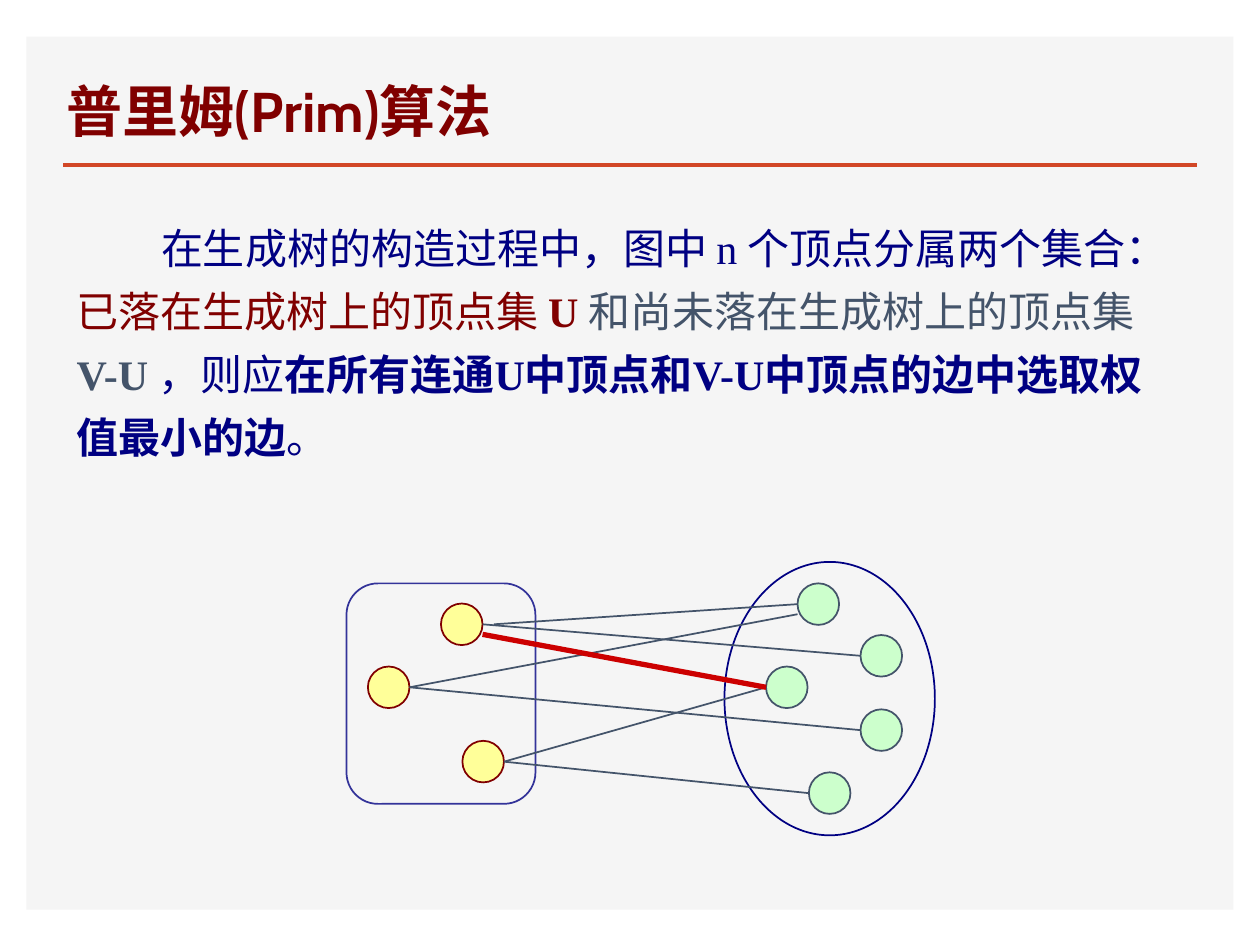
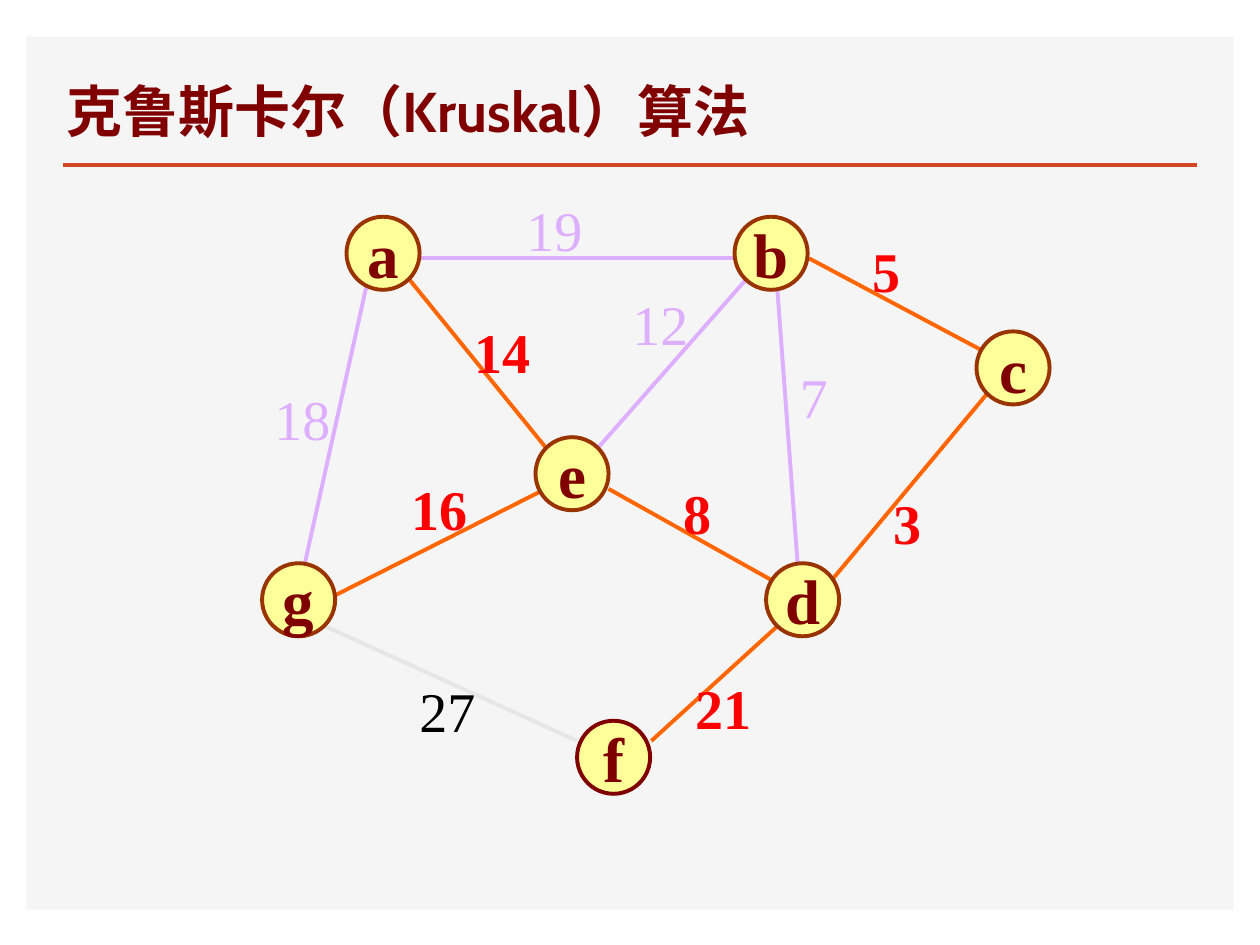
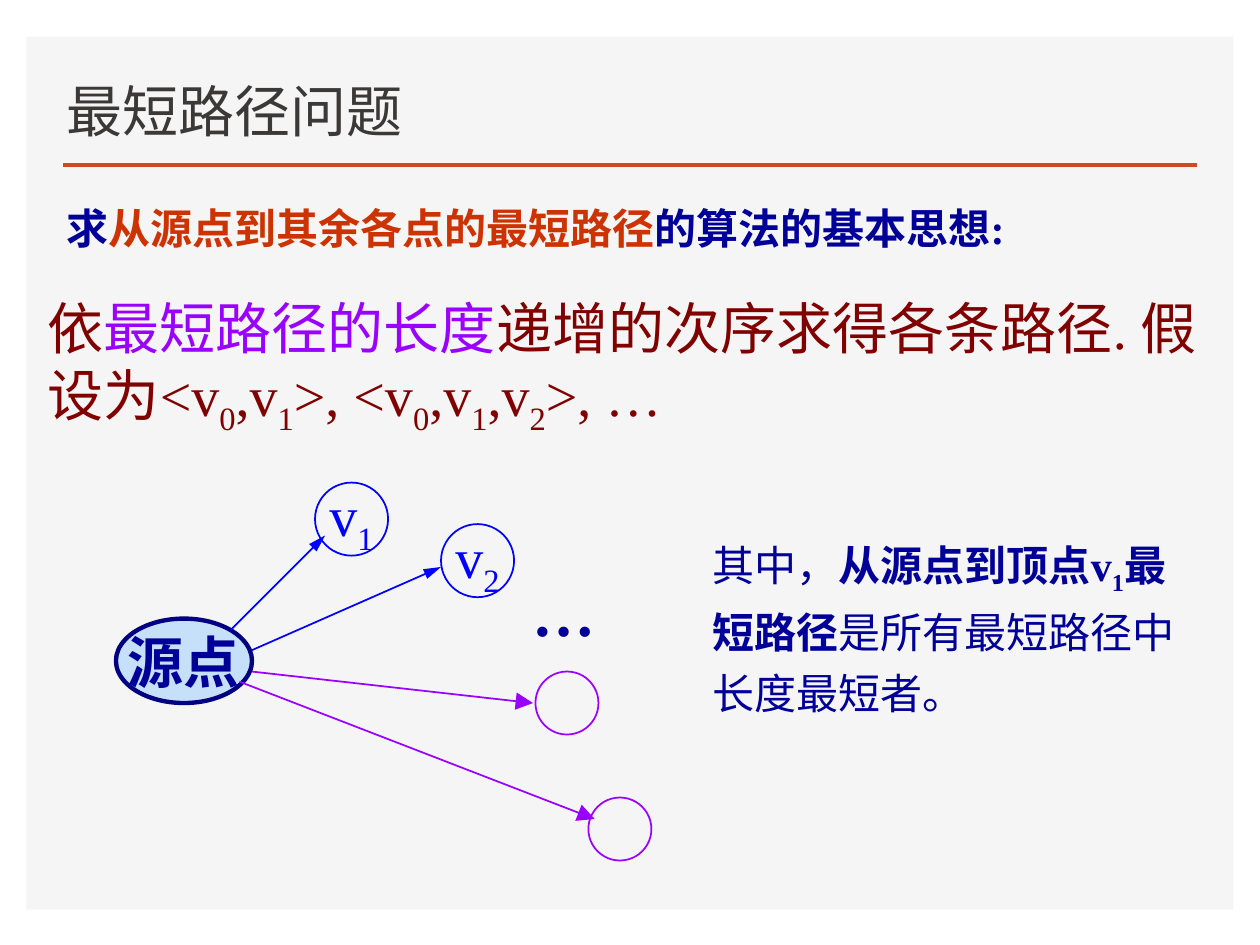
from lxml.etree import SubElement
from pptx import Presentation
from pptx.dml.color import RGBColor
from pptx.enum.shapes import MSO_CONNECTOR, MSO_SHAPE
from pptx.enum.text import MSO_ANCHOR, MSO_AUTO_SIZE, PP_ALIGN
from pptx.oxml.ns import qn
from pptx.util import Inches, Pt

BODY_FONT, TITLE_FONT = "Times New Roman", "Cabin"
PANEL, RULE, CHARCOAL = "F5F5F5", "D24726", "3B3838"
MAROON, NAVY, SLATE, INK = "800000", "000082", "44546A", "000099"
YELLOW, GREEN, BROWN = "FFFF99", "CCFFCC", "993300"
RED, ORANGE, LILAC, GREY = "FF0000", "FF6600", "DFAFFF", "E7E6E6"
BLUE, VIOLET, BRICK, BLACK = "0000FF", "9900FF", "CC3300", "000000"

# Runs are (text, overrides) pairs; overrides may hold color, bold, subscript.
BOLD, SUBSCRIPT = {"bold": True}, {"subscript": True}

# Prim: vertex sets with the top-left corner of each vertex
PRIM_TEXT = [
    ("在生成树的构造过程中，图中 n 个顶点分属两个集合：", {}),
    ("已落在生成树上的顶点集 ", {"color": MAROON}),
    ("U ", {"color": MAROON, "bold": True}),
    ("和尚未落在生成树上的顶点集", {"color": SLATE}),
    ("V-U ", {"color": SLATE, "bold": True}),
    ("，则应", {}),
    ("在所有连通U中顶点和V-U中顶点的边中选取权值最小的边", BOLD),
    ("。", {}),
]
VERTEX_SIZE = 0.33
TREE_VERTICES = {"u1": (3.5, 4.79), "u2": (2.92, 5.29), "u3": (3.67, 5.88)}
OTHER_VERTICES = {"v1": (6.33, 4.63), "v2": (6.83, 5.04), "v3": (6.08, 5.29),
                  "v4": (6.83, 5.63), "v5": (6.42, 6.13)}
# from, to, shift of the start, shift of the end
CROSSING_EDGES = [
    ("u1", "v1", (0.09, 0), (0, 0)),
    ("u1", "v2", (0, 0), (0, 0)),
    ("u2", "v1", (0, 0), (0, 0.08)),
    ("u2", "v4", (0, 0), (0, 0)),
    ("u3", "v3", (0, 0), (0, 0)),
    ("u3", "v5", (0, 0), (0, 0)),
]
LIGHTEST_EDGE = ("u1", "v3", (0, 0.08), (0, 0))

# Kruskal: node corners, then edges grouped by the decision taken on them
NODE_SIZE = 0.58
NODES = {"a": (2.75, 1.72), "b": (5.83, 1.72), "c": (7.75, 2.63),
         "d": (6.08, 4.47), "e": (4.25, 3.47), "f": (4.58, 5.72),
         "g": (2.08, 4.47)}
# weight, start, end, label corner
CHOSEN_EDGES = [
    ("14", (3.25, 2.22), (4.33, 3.55), (3.67, 2.47)),
    ("8", (4.83, 3.88), (6.17, 4.63), (5.33, 3.75)),
    ("5", (6.42, 2.05), (7.83, 2.8), (6.83, 1.83)),
    ("3", (7.83, 3.13), (6.58, 4.63), (6.99, 3.83)),
    ("16", (2.67, 4.72), (4.33, 3.88), (3.17, 3.72)),
    ("21", (6.17, 4.97), (5.17, 5.88), (5.42, 5.3)),
]
REJECTED_EDGES = [
    ("7", (6.17, 2.3), (6.33, 4.47), (6.25, 2.83)),
    ("12", (5.92, 2.22), (4.75, 3.55), (4.92, 2.25)),
    ("18", (2.92, 2.22), (2.42, 4.47), (2.08, 3)),
    ("19", (3.33, 2.05), (5.83, 2.05), (4.08, 1.5)),
]
UNTESTED_EDGES = [("27", (2.58, 4.97), (4.58, 5.88), (3.23, 5.32))]
# edges, line colour, weight colour, bold weight
EDGE_GROUPS = [
    (UNTESTED_EDGES, GREY, BLACK, False),
    (CHOSEN_EDGES, ORANGE, RED, True),
    (REJECTED_EDGES, LILAC, LILAC, False),
]

# Shortest paths
GOAL_TEXT = [("求", {}), ("从源点到其余各点的最短路径", {"color": BRICK}),
             ("的算法的基本思想:", {})]
ORDER_TEXT = [
    ("依", {}), ("最短路径的长度", {"color": VIOLET}),
    ("递增的次序求得各条路径. 假设为<v", {}), ("0", SUBSCRIPT),
    (",v", {}), ("1", SUBSCRIPT), (">, <v", {}), ("0", SUBSCRIPT),
    (",v", {}), ("1", SUBSCRIPT), (",v", {}), ("2", SUBSCRIPT),
    (">, …", {}),
]
FIRST_PATH_TEXT = [
    ("其中，", {}), ("从源点到顶点v", BOLD),
    ("1", {"bold": True, "subscript": True}), ("最短路径", BOLD),
    ("是所有最短路径中长度最短者。", {}),
]
NAMED_TARGETS = [("1", (2.5, 3.83)), ("2", (3.5, 4.16))]
PLAIN_TARGETS = [(4.67, 6.33), (4.25, 5.33)]
# start, end, colour, arrowhead width
PATHS = [
    ((1.83, 5), (2.58, 4.25), BLUE, "med"),
    ((2, 5.16), (3.5, 4.5), BLUE, "med"),
    ((2, 5.33), (4.23, 5.58), VIOLET, "lg"),
    ((1.9, 5.41), (4.72, 6.5), VIOLET, "lg"),
]


def rgb(value):
    """Turn a hex string into a colour."""
    return RGBColor.from_string(value)


def write(shape, runs, size, color, bold=False, font=BODY_FONT, wrap=True,
          spacing=None, align=None, anchor=MSO_ANCHOR.TOP):
    """Fill a shape with one paragraph made of styled runs."""
    frame = shape.text_frame
    frame.word_wrap = wrap
    frame.vertical_anchor = anchor
    paragraph = frame.paragraphs[0]
    paragraph.alignment = align
    paragraph.line_spacing = spacing
    paragraph.font.name = font
    paragraph.font.size = Pt(size)
    paragraph.font.bold = bold
    paragraph.font.color.rgb = rgb(color)
    for text, style in runs:
        run = paragraph.add_run()
        run.text = text
        if "color" in style:
            run.font.color.rgb = rgb(style["color"])
        if "bold" in style:
            run.font.bold = style["bold"]
        if "subscript" in style:
            run.font._element.set("baseline", "-25000")
    return paragraph


def add_text(slide, box, runs, size, color, **options):
    """Add a text box that grows with its text."""
    shape = slide.shapes.add_textbox(*map(Inches, box))
    paragraph = write(shape, runs, size, color, **options)
    shape.text_frame.auto_size = MSO_AUTO_SIZE.SHAPE_TO_FIT_TEXT
    return paragraph


def add_shape(slide, kind, box, fill=None, line=None, width=1):
    """Add a flat preset shape; no colour means no fill or no line."""
    shape = slide.shapes.add_shape(kind, *map(Inches, box))
    shape.shadow.inherit = False
    if fill:
        shape.fill.solid()
        shape.fill.fore_color.rgb = rgb(fill)
    else:
        shape.fill.background()
    if line:
        shape.line.color.rgb = rgb(line)
        shape.line.width = Pt(width)
    else:
        shape.line.fill.background()
    return shape


def add_circle(slide, corner, size, fill, line, width=1):
    """Add a circle by its top-left corner and diameter."""
    return add_shape(slide, MSO_SHAPE.OVAL, (*corner, size, size),
                     fill, line, width)


def add_line(slide, start, end, color, width=1, arrow=None):
    """Add a straight line, with an arrowhead of the given width if any."""
    connector = slide.shapes.add_connector(
        MSO_CONNECTOR.STRAIGHT, *map(Inches, (*start, *end)))
    connector.line.color.rgb = rgb(color)
    connector.line.width = Pt(width)
    if arrow:
        SubElement(connector.line._get_or_add_ln(), qn("a:tailEnd"),
                   type="triangle", w=arrow, len="lg")
    SubElement(connector._element.spPr, qn("a:effectLst"))


def add_slide(presentation, title, color=MAROON, bold=True):
    """Add a slide with the shared panel, rule and title."""
    slide = presentation.slides.add_slide(presentation.slide_layouts[6])
    add_shape(slide, MSO_SHAPE.RECTANGLE, (0.21, 0.29, 9.58, 6.93), PANEL)
    add_line(slide, (0.5, 1.31), (9.5, 1.31), RULE, 2)
    box = slide.shapes.add_textbox(*map(Inches, (0.43, 0.49, 5.64, 0.7)))
    write(box, [(title, {})], 32, color, bold, TITLE_FONT,
          anchor=MSO_ANCHOR.BOTTOM)
    return slide


def add_crossing(slide, edge, color, width=1):
    """Join the right side of a tree vertex to the left side of another."""
    tree, other, start_shift, end_shift = edge
    left, top = TREE_VERTICES[tree]
    start = (left + VERTEX_SIZE + start_shift[0],
             top + VERTEX_SIZE / 2 + start_shift[1])
    left, top = OTHER_VERTICES[other]
    end = (left + end_shift[0], top + VERTEX_SIZE / 2 + end_shift[1])
    add_line(slide, start, end, color, width)


def add_weight(slide, weight, corner, color, bold=False):
    """Label an edge with its weight."""
    box = (*corner, 0.17 + 0.24 * len(weight), 0.63)
    add_text(slide, box, [(weight, {})], 32, color, bold=bold, wrap=False)


def write_centred(shape, runs, size, color, bold=False):
    """Centre an unwrapped label in a shape."""
    write(shape, runs, size, color, bold, wrap=False,
          align=PP_ALIGN.CENTER, anchor=MSO_ANCHOR.MIDDLE)


def build_prim(presentation):
    """Vertices inside and outside the tree, and the lightest edge."""
    slide = add_slide(presentation, "普里姆(Prim)算法")
    paragraph = add_text(slide, (0.51, 1.62, 8.9, 2.12), PRIM_TEXT, 24, NAVY,
                         spacing=1.25)
    paragraph._p.get_or_add_pPr().set("indent", str(Inches(0.67)))
    add_shape(slide, MSO_SHAPE.ROUNDED_RECTANGLE, (2.75, 4.63, 1.5, 1.75),
              line="333399")
    add_shape(slide, MSO_SHAPE.OVAL, (5.75, 4.46, 1.67, 2.17), line=NAVY)
    for corner in TREE_VERTICES.values():
        add_circle(slide, corner, VERTEX_SIZE, YELLOW, MAROON)
    for corner in OTHER_VERTICES.values():
        add_circle(slide, corner, VERTEX_SIZE, GREEN, SLATE)
    for edge in CROSSING_EDGES:
        add_crossing(slide, edge, SLATE)
    add_crossing(slide, LIGHTEST_EDGE, "CC0000", 3)


def build_kruskal(presentation):
    """Weighted graph with chosen, rejected and untested edges."""
    slide = add_slide(presentation, "克鲁斯卡尔（Kruskal）算法")
    for edges, line_color, weight_color, bold in EDGE_GROUPS:
        for weight, start, end, corner in edges:
            add_line(slide, start, end, line_color, 2.25)
            add_weight(slide, weight, corner, weight_color, bold)
    for name, corner in NODES.items():
        outline = MAROON if name == "f" else BROWN
        node = add_circle(slide, corner, NODE_SIZE, YELLOW, outline, 2.25)
        write_centred(node, [(name, {})], 36, MAROON, True)


def build_shortest_paths(presentation):
    """Paths leaving the source in order of growing length."""
    slide = add_slide(presentation, "最短路径问题", CHARCOAL, False)
    add_text(slide, (0.43, 1.46, 9.21, 0.56), GOAL_TEXT, 24, INK, bold=True,
             spacing=1.25)
    add_text(slide, (0.28, 2.28, 9.5, 1.18), ORDER_TEXT, 32, MAROON)
    source = add_shape(slide, MSO_SHAPE.OVAL, (0.92, 4.91, 1.08, 0.67),
                       "99CCFF", "000080", 2.5)
    fill_color = source._element.spPr.find(qn("a:solidFill"))[0]
    SubElement(fill_color, qn("a:alpha"), val="50000")
    write_centred(source, [("源点", {})], 32, INK, True)
    for index, corner in NAMED_TARGETS:
        target = add_circle(slide, corner, NODE_SIZE, None, BLUE)
        write_centred(target, [("v", {}), (index, SUBSCRIPT)], 32, BLUE)
    for corner in PLAIN_TARGETS:
        add_circle(slide, corner, 0.5, None, VIOLET)
    add_text(slide, (4.13, 4.5, 0.7, 0.7), [("…", {})], 36, INK, bold=True,
             wrap=False)
    for start, end, color, arrow in PATHS:
        add_line(slide, start, end, color, arrow=arrow)
    add_text(slide, (5.56, 4.14, 4.08, 1.52), FIRST_PATH_TEXT, 24, INK,
             spacing=1.2)


def main():
    """Build the three slides and save them."""
    presentation = Presentation()
    presentation.slide_width = Inches(10)
    presentation.slide_height = Inches(7.5)
    build_prim(presentation)
    build_kruskal(presentation)
    build_shortest_paths(presentation)
    presentation.save("out.pptx")


main()
